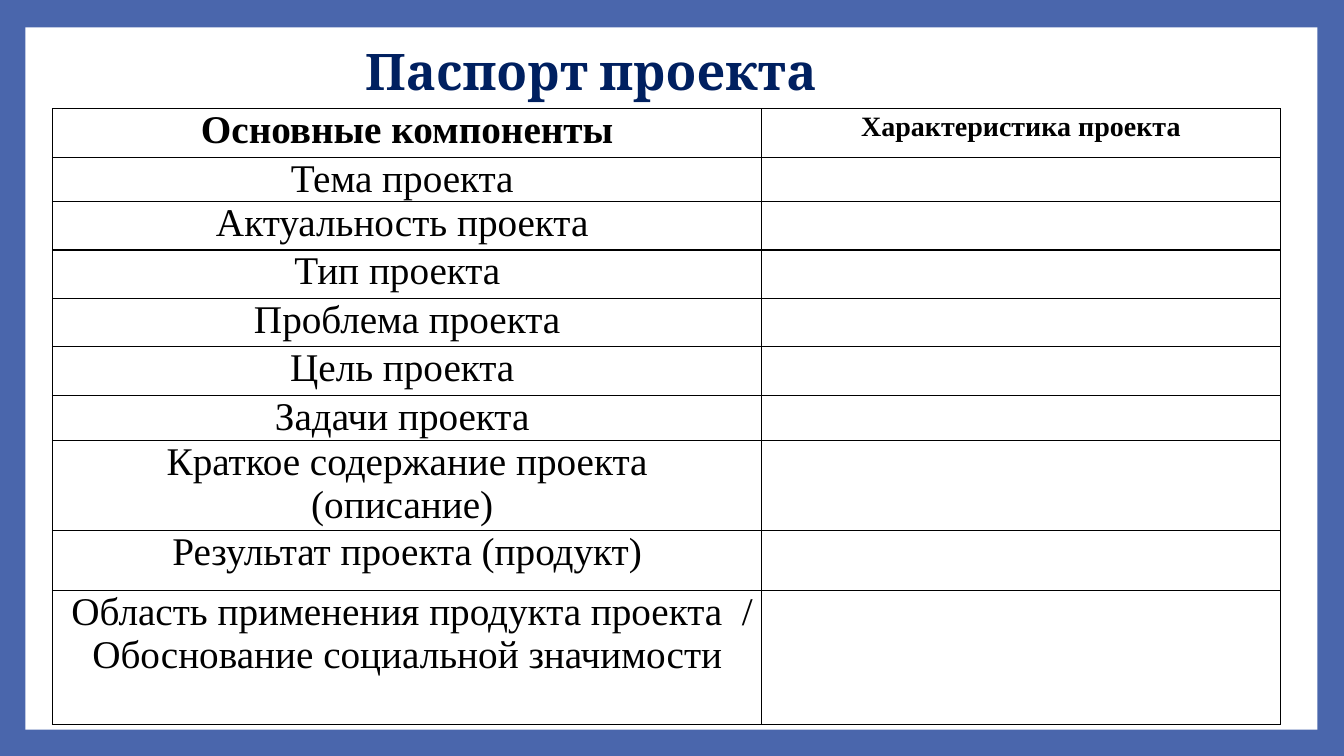
from dataclasses import dataclass

from lxml import etree
from pptx import Presentation
from pptx.dml.color import RGBColor
from pptx.enum.shapes import MSO_SHAPE
from pptx.enum.text import MSO_ANCHOR, PP_ALIGN
from pptx.oxml.ns import qn
from pptx.util import Cm, Pt

CENTER = PP_ALIGN.CENTER
MIDDLE = MSO_ANCHOR.MIDDLE
RECTANGLE = MSO_SHAPE.RECTANGLE

TITLE = "Паспорт проекта "
HEADERS = ["Основные компоненты", "Характеристика проекта"]
COMPONENTS = [
    ("Тема проекта ", 1.12),
    ("Актуальность проекта ", 1.22),
    ("Тип проекта  ", 1.22),
    ("Проблема проекта", 1.22),
    ("Цель проекта ", 1.22),
    ("Задачи проекта ", 1.14),
    ("Краткое содержание проекта\n(описание) ", 2.26),
    ("Результат проекта (продукт)", 1.52),
    (" Область применения продукта проекта  / Обоснование социальной значимости", 3.38),
]
HEADER_HEIGHT = 1.22
COLUMN_WIDTHS = [17.88, 13.06]
LEFT = 1.32
TABLE_TOP = 2.74


@dataclass(frozen=True)
class Theme:
    frame: str = "4A66AC"
    panel: str = "FFFFFF"
    title: str = "002060"
    ink: str = "000000"
    title_font: str = "Cambria"
    table_font: str = "Times New Roman"
    title_size: int = 36
    table_size: int = 28
    small_size: int = 20
    border: int = 1


THEME = Theme()


def write(frame, text, *, size=THEME.table_size, font=THEME.table_font,
          color=THEME.ink, bold=False, spacing=None):
    frame.word_wrap = True
    for index, line in enumerate(text.split("\n")):
        para = frame.add_paragraph() if index else frame.paragraphs[0]
        para.alignment = CENTER
        if spacing:
            para.line_spacing = spacing
        span = para.add_run()
        span.text = line
        span.font.size = Pt(size)
        span.font.name = font
        span.font.bold = bold
        span.font.color.rgb = RGBColor.from_string(color)


def style_cell(cell):
    cell.margin_left = cell.margin_right = Cm(0.15)
    cell.margin_top = cell.margin_bottom = 0
    properties = cell._tc.get_or_add_tcPr()
    for side in ("a:lnL", "a:lnR", "a:lnT", "a:lnB"):
        line = etree.SubElement(properties, qn(side), w=str(Pt(THEME.border)))
        fill = etree.SubElement(line, qn("a:solidFill"))
        etree.SubElement(fill, qn("a:srgbClr"), val=THEME.ink)
    cell.fill.background()


def add_panel(page):
    panel = page.shapes.add_shape(RECTANGLE, Cm(0.64), Cm(0.69), Cm(32.56), Cm(17.7))
    panel.shadow.inherit = False
    panel.fill.solid()
    panel.fill.fore_color.rgb = RGBColor.from_string(THEME.panel)
    panel.line.fill.background()
    page.shapes.title._element.addprevious(panel._element)


def add_title(page):
    title = page.shapes.title
    title.left, title.top, title.width, title.height = Cm(LEFT), Cm(0.66), Cm(27.43), Cm(2.44)
    title.text_frame.vertical_anchor = MIDDLE
    write(title.text_frame, TITLE, size=THEME.title_size, font=THEME.title_font,
          color=THEME.title, bold=True, spacing=0.9)


def add_passport(page):
    heights = [HEADER_HEIGHT] + [height for _, height in COMPONENTS]
    table = page.shapes.add_table(
        len(heights), len(COLUMN_WIDTHS), Cm(LEFT), Cm(TABLE_TOP),
        Cm(sum(COLUMN_WIDTHS)), Cm(sum(heights))).table
    table.first_row = table.horz_banding = False
    for column, width in zip(table.columns, COLUMN_WIDTHS):
        column.width = Cm(width)
    for row, height in zip(table.rows, heights):
        row.height = Cm(height)
    for cell in table.iter_cells():
        style_cell(cell)
    write(table.cell(0, 0).text_frame, HEADERS[0], bold=True)
    write(table.cell(0, 1).text_frame, HEADERS[1], size=THEME.small_size,
          bold=True, spacing=Pt(24))
    for index, (name, _) in enumerate(COMPONENTS, start=1):
        write(table.cell(index, 0).text_frame, name)


def main():
    deck = Presentation()
    deck.slide_width, deck.slide_height = Cm(33.87), Cm(19.05)
    page = deck.slides.add_slide(deck.slide_layouts[5])
    page.background.fill.solid()
    page.background.fill.fore_color.rgb = RGBColor.from_string(THEME.frame)
    add_panel(page)
    add_title(page)
    add_passport(page)
    deck.save("out.pptx")


if __name__ == "__main__":
    main()
